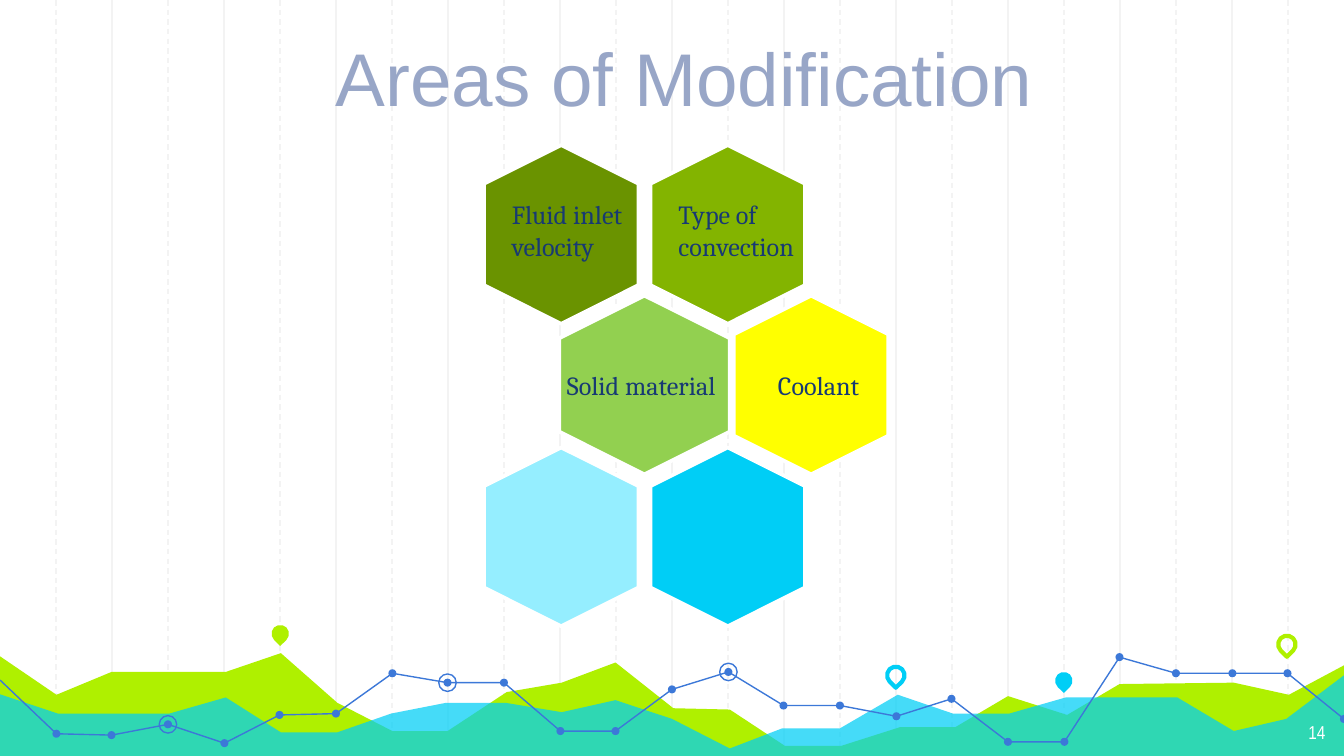
from pptx import Presentation
from pptx.dml.color import RGBColor
from pptx.enum.dml import MSO_LINE
from pptx.enum.shapes import MSO_CONNECTOR, MSO_SHAPE
from pptx.enum.text import MSO_AUTO_SIZE, PP_ALIGN
from pptx.oxml.ns import qn
from pptx.util import Pt
from lxml import etree

PX = 9144
WIDE = 1000
LIME, CYAN, BLUE, NAVY = "AFF000", "00CEF6", "3C78D8", "173A73"


def color(code):
    return RGBColor.from_string(code)


def paint(shape, fill=None, line=None, width=0.75):
    shape.shadow.inherit = False
    if fill:
        shape.fill.solid()
        shape.fill.fore_color.rgb = color(fill)
    else:
        shape.fill.background()
    if line:
        shape.line.color.rgb = color(line)
        shape.line.width = Pt(width)
    else:
        shape.line.fill.background()


deck = Presentation()
deck.slide_width = WIDE * PX
deck.slide_height = WIDE * PX * 9 // 16
slide = deck.slides.add_slide(deck.slide_layouts[6])
shapes = slide.shapes

for first, dash in [(2, None), (1, MSO_LINE.DASH)]:
    for step in range(first, 24, 2):
        x = WIDE * PX * step // 24
        rule = shapes.add_connector(MSO_CONNECTOR.STRAIGHT, x, 0, x, 565 * PX)
        rule.line.color.rgb = color("F3F3F3")
        rule.line.width = Pt(0.75)
        rule.line.dash_style = dash
        etree.SubElement(rule._element.spPr, qn("a:effectLst"))

lime_hills = [
    (-2, 487), (42, 517), (83, 500), (168, 500), (209, 486), (251, 523),
    (292, 544), (333, 544), (377, 515), (418, 508), (458, 493), (501, 527),
    (543, 528), (584, 555), (626, 555), (670, 541), (711, 541), (750, 518),
    (794, 532), (833, 509), (918, 508), (959, 517), (1002, 494),
    (1001, 564), (-3, 564),
]
cyan_hills = [
    (-2, 516), (43, 531), (126, 531), (168, 519), (209, 545), (251, 545),
    (291, 531), (332, 523), (376, 523), (418, 530), (458, 521), (500, 535),
    (543, 557), (582, 542), (625, 542), (668, 517), (709, 531), (751, 531),
    (793, 519), (876, 519), (918, 544), (957, 535), (1002, 501),
    (1002, 565), (-3, 565),
]
for hills, fill, alpha in [(lime_hills, LIME, 100), (cyan_hills, CYAN, 73)]:
    form = shapes.build_freeform(*hills[0], scale=PX)
    form.add_line_segments(hills[1:], close=True)
    area = form.convert_to_shape()
    paint(area, fill)
    if alpha < 100:
        tint = area._element.spPr.find(qn("a:solidFill"))[0]
        etree.SubElement(tint, qn("a:alpha"), val=str(alpha * 1000))

pins = [(202, 465, LIME, None), (660, 496, None, CYAN),
        (785, 500, CYAN, None), (951, 473, None, LIME)]
for x, y, fill, line in pins:
    pin = shapes.add_shape(MSO_SHAPE.TEAR, x * PX, y * PX, 13 * PX, 13 * PX)
    pin.rotation = 135
    paint(pin, fill, line, 2.25)

levels = [506, 546, 547, 539, 553, 532, 531, 501, 508, 508, 544, 544, 513,
          500, 525, 525, 533, 520, 552, 552, 489, 501, 501, 501, 535]
trend = [(round(step * WIDE / 24), y) for step, y in enumerate(levels)]
for start, end in [(0, 11), (11, 20), (20, 24)]:
    form = shapes.build_freeform(*trend[start], scale=PX)
    form.add_line_segments(trend[start + 1:end + 1], close=False)
    paint(form.convert_to_shape(), line=BLUE)

marks = [(x, y, 6, BLUE, None) for x, y in trend[1:]]
marks += [(*trend[step], 13, None, BLUE) for step in (8, 3, 13)]
for x, y, size, fill, line in marks:
    left, top = round((x - size / 2) * PX), round((y - size / 2) * PX)
    dot = shapes.add_shape(MSO_SHAPE.OVAL, left, top, size * PX, size * PX)
    paint(dot, fill, line)

cells = [
    (475, 117, 115, "83B400"), (351, 117, 115, "6A9300"),
    (413, 223, 127, "92D050"), (537, 229, 115, "FFFF00"),
    (475, 342, 115, CYAN), (351, 342, 115, "95EEFF"),
]
for x, y, high, fill in cells:
    cell = shapes.add_shape(MSO_SHAPE.HEXAGON, x * PX, y * PX, 133 * PX, high * PX)
    cell.rotation = 90
    cell.adjustments[0] = 0.25
    paint(cell, fill, "FFFFFF", 2)

grow = {"auto_size": MSO_AUTO_SIZE.SHAPE_TO_FIT_TEXT, "word_wrap": True}
loose = {**grow, "word_wrap": False}
inset = {"word_wrap": True, "margin_top": 10 * PX, "margin_bottom": 10 * PX}
label = {"name": "Cambria", "size": Pt(14)}
head = {"name": "Arial", "size": Pt(40)}
page = {"name": "Arial Narrow", "size": Pt(10)}
left, right = PP_ALIGN.LEFT, PP_ALIGN.RIGHT
texts = [
    ("14", (936, 528, 60, 35), inset, page, "FFFFFF", right),
    ("Areas of Modification", (240, 19, 596, 77), grow, head, "98A6C7", left),
    ("Fluid inlet velocity", (371, 143, 110, 57), grow, label, NAVY, left),
    ("Type of convection", (495, 143, 120, 81), grow, label, NAVY, left),
    ("Solid material", (412, 270, 137, 57), loose, label, NAVY, left),
    ("Coolant", (569, 270, 85, 34), loose, label, NAVY, left),
]
for text, place, frame, font, ink, align in texts:
    box = shapes.add_textbox(*[n * PX for n in place]).text_frame
    for key, value in frame.items():
        setattr(box, key, value)
    line = box.paragraphs[0]
    line.alignment = align
    run = line.add_run()
    run.text = text
    run.font.color.rgb = color(ink)
    for key, value in font.items():
        setattr(run.font, key, value)

deck.save("out.pptx")
